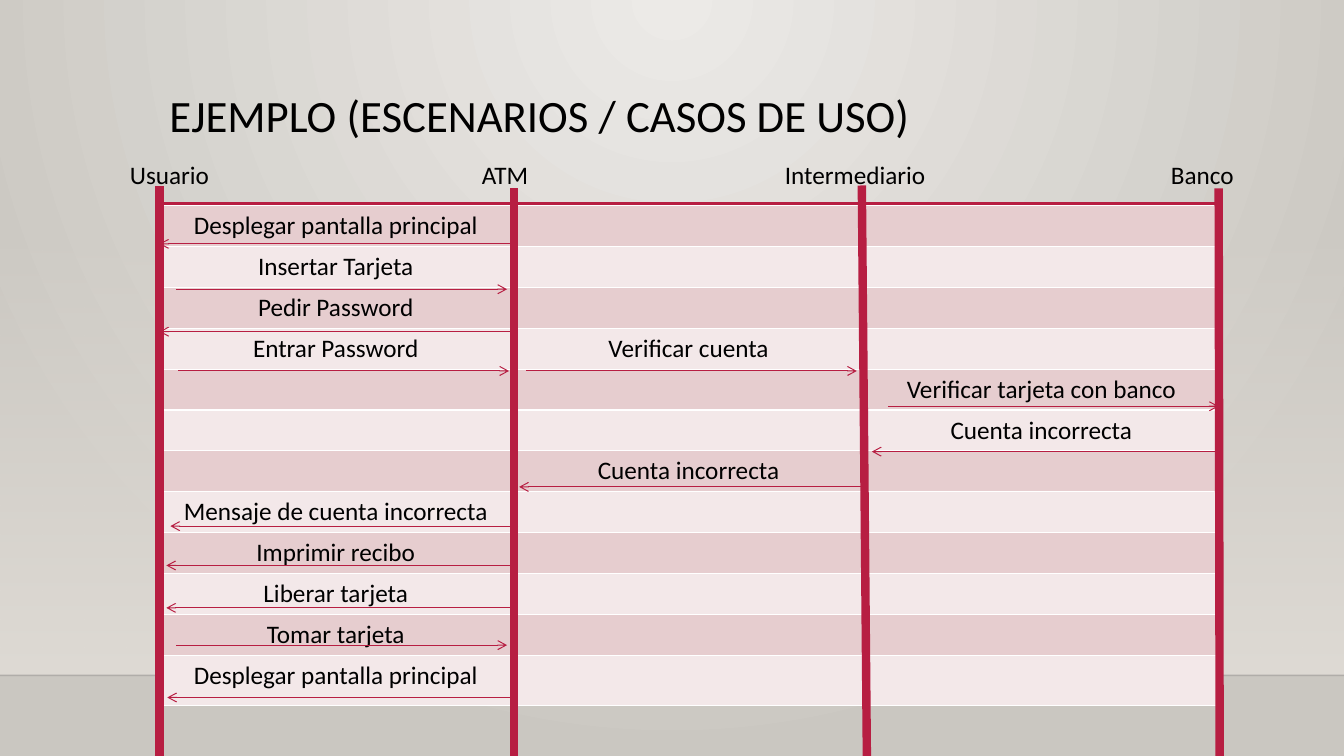
from dataclasses import dataclass

from lxml.etree import SubElement
from pptx import Presentation
from pptx.dml.color import RGBColor
from pptx.enum.shapes import MSO_CONNECTOR, MSO_SHAPE
from pptx.enum.text import MSO_ANCHOR, MSO_AUTO_SIZE, PP_ALIGN
from pptx.oxml import parse_xml
from pptx.oxml.ns import nsdecls, qn
from pptx.util import Pt


@dataclass(frozen=True)
class Theme:
    font: str = "Calibri"
    ink: str = "000000"
    edge: str = "000001"
    red: str = "B71E42"
    dark: str = "E6CDCF"
    pale: str = "F3E8E9"
    white: str = "FFFFFF"
    glow: str = "ECEAE7"
    shade: str = "CAC7C1"
    wall: str = "DFDBD5"
    head: int = 32
    body: int = 18


THEME = Theme()

ACTORS = ["Usuario", "ATM", "Intermediario", "Banco"]
TABS = [251.4, 467.9, 743.6]

STEPS = [
    (0, "Desplegar pantalla principal"),
    (0, "Insertar Tarjeta"),
    (0, "Pedir Password"),
    (0, "Entrar Password"),
    (2, "Verificar tarjeta con banco"),
    (2, "Cuenta incorrecta"),
    (1, "Cuenta incorrecta"),
    (0, "Mensaje de cuenta incorrecta"),
    (0, "Imprimir recibo"),
    (0, "Liberar tarjeta"),
    (0, "Tomar tarjeta"),
    (0, "Desplegar pantalla principal"),
]
CHECK = (3, 1, "Verificar cuenta")

LIVES = [
    (113.8, 133.2, 113.8),
    (367.2, 134.6, 367.2),
    (615.6, 132.5, 619.2),
    (870.5, 134.6, 871.2),
]

ARROWS = [
    (174.2, 367.2, 113.8),
    (206.6, 126, 362.2),
    (265, 127.4, 363.6),
    (236.9, 367.2, 113.8),
    (265, 375.8, 612),
    (290.2, 634.3, 870.5),
    (322.6, 871.2, 622.8),
    (347.8, 619.2, 370.8),
    (375.8, 370.1, 121.7),
    (403.9, 367.2, 118.8),
    (434.2, 367.2, 118.8),
    (498.2, 367.9, 119.5),
    (460.8, 126, 362.2),
]


def color(code):
    return RGBColor.from_string(code)


def write(frame, text, size=THEME.body, align=PP_ALIGN.LEFT,
          space=1.0, tabs=()):
    para = frame.paragraphs[0]
    para.text = text
    para.alignment = align
    para.line_spacing = space
    if tabs:
        stops = SubElement(para._p.get_or_add_pPr(), qn("a:tabLst"))
        for stop in tabs:
            SubElement(stops, qn("a:tab"), pos=str(Pt(stop)), algn="l")
    font = para.runs[0].font
    font.name = THEME.font
    font.size = Pt(size)
    font.bold = False
    font.color.rgb = color(THEME.ink)


def place(shape, left, top, width, height):
    shape.left, shape.top = Pt(left), Pt(top)
    shape.width, shape.height = Pt(width), Pt(height)


def blend(fill, stops, course):
    fill.gradient()
    grad = fill._fill._gradFill
    for child in list(grad):
        grad.remove(child)
    group = SubElement(grad, qn("a:gsLst"))
    for spot, code, alpha in stops:
        stop = SubElement(group, qn("a:gs"), pos=str(spot * 1000))
        tint = SubElement(stop, qn("a:srgbClr"), val=code)
        SubElement(tint, qn("a:alpha"), val=str(alpha * 1000))
    grad.append(parse_xml(course))


def line(slide, start, end, code, width, arrow=False, alpha=100):
    link = slide.shapes.add_connector(
        MSO_CONNECTOR.STRAIGHT, *(Pt(num) for num in (*start, *end)))
    link.line.color.rgb = color(code)
    link.line.width = Pt(width)
    props = link._element.spPr
    if alpha < 100:
        tint = props.find(".//" + qn("a:srgbClr"))
        SubElement(tint, qn("a:alpha"), val=str(alpha * 1000))
    if arrow:
        SubElement(link.line._get_or_add_ln(), qn("a:tailEnd"), type="arrow")
    SubElement(props, qn("a:effectLst"))


def backdrop(slide):
    space = nsdecls("a")
    blend(slide.background.fill,
          [(0, THEME.glow, 100), (100, THEME.shade, 100)],
          f'<a:path {space} path="circle"><a:fillToRect l="43000" t="0" '
          'r="43000" b="100000"/></a:path>')
    wall = slide.shapes.add_shape(
        MSO_SHAPE.RECTANGLE, 0, Pt(159), Pt(960), Pt(323.4))
    wall.shadow.inherit = False
    wall.line.fill.background()
    blend(wall.fill, [(0, THEME.wall, 0), (100, THEME.wall, 100)],
          f'<a:lin {space} ang="5400000" scaled="0"/>')
    line(slide, (0, 482.4), (960, 482.4), THEME.edge, 1, alpha=20)
    line(slide, (114.5, 145.4), (871.2, 145.4), THEME.red, 2.5)


def heading(slide, text):
    title = slide.shapes.title
    slide.shapes._spTree.append(title._element)
    place(title, 113.8, 63.4, 756, 83.5)
    frame = title.text_frame
    frame.auto_size = MSO_AUTO_SIZE.NONE
    frame.vertical_anchor = MSO_ANCHOR.TOP
    write(frame, text, size=THEME.head, space=0.9)


def border(cell):
    props = cell._tc.get_or_add_tcPr()
    for spot, side in enumerate(("lnL", "lnR", "lnT", "lnB")):
        props.insert(spot, parse_xml(
            f'<a:{side} {nsdecls("a")} w="{Pt(1)}"><a:solidFill>'
            f'<a:srgbClr val="{THEME.white}"/></a:solidFill></a:{side}>'))


def grid(slide):
    tall = [29.2] * (len(STEPS) - 1) + [36]
    table = slide.shapes.add_table(
        len(STEPS), 3, Pt(113.8), Pt(146.9), Pt(756), Pt(sum(tall))).table
    table.first_row = table.horz_banding = False
    for col in table.columns:
        col.width = Pt(252)
    for num, row in enumerate(table.rows):
        row.height = Pt(tall[num])
        for cell in row.cells:
            cell.fill.solid()
            cell.fill.fore_color.rgb = color(
                THEME.pale if num % 2 else THEME.dark)
            border(cell)
    notes = [(row, col, text) for row, (col, text) in enumerate(STEPS)]
    for row, col, text in notes + [CHECK]:
        write(table.cell(row, col).text_frame, text, align=PP_ALIGN.CENTER)


def labels(slide):
    box = slide.shapes.add_textbox(Pt(85.7), Pt(110.2), Pt(825.8), Pt(51.1))
    box.text_frame.word_wrap = True
    write(box.text_frame, "\t".join(ACTORS), tabs=TABS)


def main():
    deck = Presentation()
    deck.slide_width, deck.slide_height = Pt(960), Pt(540)
    slide = deck.slides.add_slide(deck.slide_layouts.get_by_name("Title Only"))
    backdrop(slide)
    heading(slide, "EJEMPLO (ESCENARIOS / CASOS DE USO)")
    grid(slide)
    labels(slide)
    for left, top, foot in LIVES:
        line(slide, (left, top), (foot, 540), THEME.red, 6)
    for y, start, end in ARROWS:
        line(slide, (start, y), (end, y), THEME.red, 0.75, arrow=True)
    deck.save("out.pptx")


if __name__ == "__main__":
    main()
